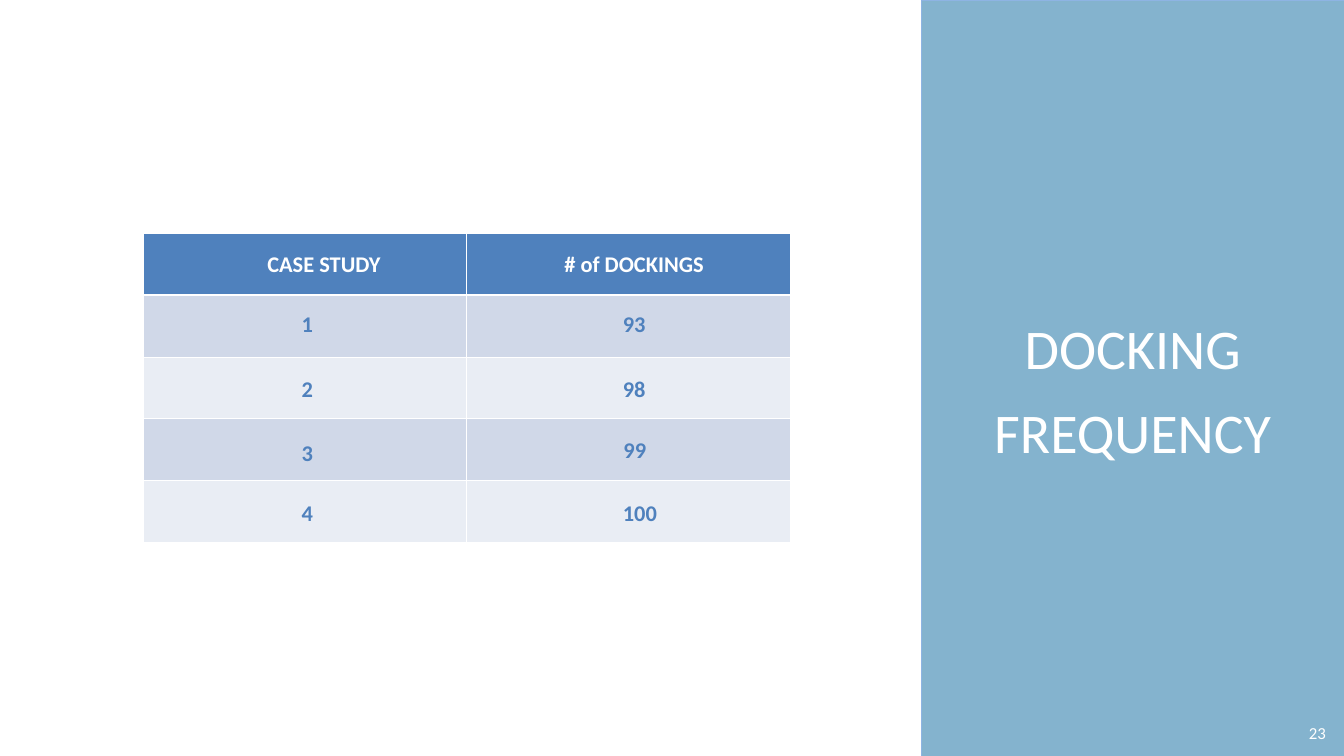
from dataclasses import dataclass
from typing import NamedTuple

from lxml.etree import SubElement
from pptx import Presentation
from pptx.dml.color import RGBColor
from pptx.enum.shapes import MSO_SHAPE
from pptx.enum.text import MSO_ANCHOR, MSO_AUTO_SIZE, PP_ALIGN
from pptx.oxml.ns import qn
from pptx.util import Inches, Pt

SLIDE_WIDTH, SLIDE_HEIGHT = Inches(20), Inches(11.25)


@dataclass(frozen=True)
class Theme:
    font: str = "Calibri"
    white: str = "FFFFFF"
    panel: str = "84B3CE"
    panel_edge: str = "8EB4E3"
    accent: str = "4F81BD"
    bands: tuple = ("D0D8E8", "E9EDF4")
    title_size: int = 60
    title_leading: float = 90.1
    table_size: int = 24
    number_size: int = 18


class Area(NamedTuple):
    """A rectangle in percent of the slide's width and height."""
    left: float
    top: float
    width: float
    height: float

    def box(self) -> tuple:
        return tuple(round(share * side / 100) for share, side in
                     zip(self, (SLIDE_WIDTH, SLIDE_HEIGHT) * 2))


class Entry(NamedTuple):
    """A text laid over the table; its place is in percent of the slide."""
    text: str
    left: float
    top: float
    width: float


THEME = Theme()
PANEL = Area(68.55, 0, 31.45, 100)
TITLE = Area(68.55, 39.2, 31.45, 21.6)
PAGE_NUMBER = Area(87.5, 95.2, 11.65, 3.56)
TABLE = Area(10.65, 30.84, 48.15, 40.96)
ROWS, COLUMNS = 5, 2
ENTRY_HEIGHT = 4.44

HEADINGS = [Entry("CASE STUDY", 19.4, 32.62, 9.5),
            Entry("# of DOCKINGS", 41.5, 32.62, 11.5)]
CASES = [Entry("1", 21.95, 40.53, 1.85), Entry("2", 21.95, 49.16, 1.85),
         Entry("3", 21.95, 57.69, 1.85), Entry("4", 21.95, 65.6, 1.85)]
DOCKINGS = [Entry("93", 45.85, 40.53, 2.7), Entry("98", 45.85, 49.24, 2.7),
            Entry("99", 45.9, 57.24, 2.7), Entry("100", 45.85, 65.6, 3.55)]


def rgb(color: str) -> RGBColor:
    return RGBColor.from_string(color)


def add_text(slide, area: Area, text: str, size: int, color: str,
             bold: bool = False, align=PP_ALIGN.LEFT, wrap: bool = True):
    frame = slide.shapes.add_textbox(*area.box()).text_frame
    frame.word_wrap = wrap
    frame.text = text
    paragraph = frame.paragraphs[0]
    paragraph.alignment = align
    font = paragraph.runs[0].font
    font.name, font.size, font.bold = THEME.font, Pt(size), bold
    font.color.rgb = rgb(color)
    return frame


def add_entry(slide, entry: Entry, color: str) -> None:
    area = Area(entry.left, entry.top, entry.width, ENTRY_HEIGHT)
    frame = add_text(slide, area, entry.text, THEME.table_size, color,
                     bold=True, wrap=False)
    frame.auto_size = MSO_AUTO_SIZE.SHAPE_TO_FIT_TEXT


def style_cell(cell, row: int) -> None:
    properties = cell._tc.get_or_add_tcPr()
    # The rule under the heading row is thicker than the others
    widths = {"lnL": 1, "lnR": 1, "lnT": 3 if row == 1 else 1,
              "lnB": 3 if row == 0 else 1}
    for side, width in widths.items():
        line = SubElement(properties, qn(f"a:{side}"), w=str(Pt(width)))
        fill = SubElement(line, qn("a:solidFill"))
        SubElement(fill, qn("a:srgbClr"), val=THEME.white)
    cell.fill.solid()
    band = THEME.bands[(row - 1) % 2] if row else THEME.accent
    cell.fill.fore_color.rgb = rgb(band)


def add_panel(slide) -> None:
    panel = slide.shapes.add_shape(MSO_SHAPE.RECTANGLE, *PANEL.box())
    panel.shadow.inherit = False
    panel.fill.solid()
    panel.fill.fore_color.rgb = rgb(THEME.panel)
    panel.line.color.rgb = rgb(THEME.panel_edge)
    panel.line.width = Pt(1)


def add_title(slide) -> None:
    frame = add_text(slide, TITLE, "DOCKING FREQUENCY", THEME.title_size,
                     THEME.white, align=PP_ALIGN.CENTER)
    frame.margin_left = frame.margin_right = 0
    frame.margin_top = frame.margin_bottom = 0
    frame.auto_size = MSO_AUTO_SIZE.SHAPE_TO_FIT_TEXT
    frame.paragraphs[0].line_spacing = Pt(THEME.title_leading)


def add_docking_table(slide) -> None:
    table = slide.shapes.add_table(ROWS, COLUMNS, *TABLE.box()).table
    for row in range(ROWS):
        for column in range(COLUMNS):
            style_cell(table.cell(row, column), row)
    for heading in HEADINGS:
        add_entry(slide, heading, THEME.white)
    for value in CASES + DOCKINGS:
        add_entry(slide, value, THEME.accent)


def main() -> None:
    deck = Presentation()
    deck.slide_width, deck.slide_height = SLIDE_WIDTH, SLIDE_HEIGHT
    slide = deck.slides.add_slide(deck.slide_layouts[6])

    # Side panel with title and page number
    add_panel(slide)
    add_title(slide)
    number = add_text(slide, PAGE_NUMBER, "23", THEME.number_size,
                      THEME.white, align=PP_ALIGN.RIGHT)
    number.vertical_anchor = MSO_ANCHOR.MIDDLE

    # Docking counts per case study
    add_docking_table(slide)
    deck.save("out.pptx")


if __name__ == "__main__":
    main()
